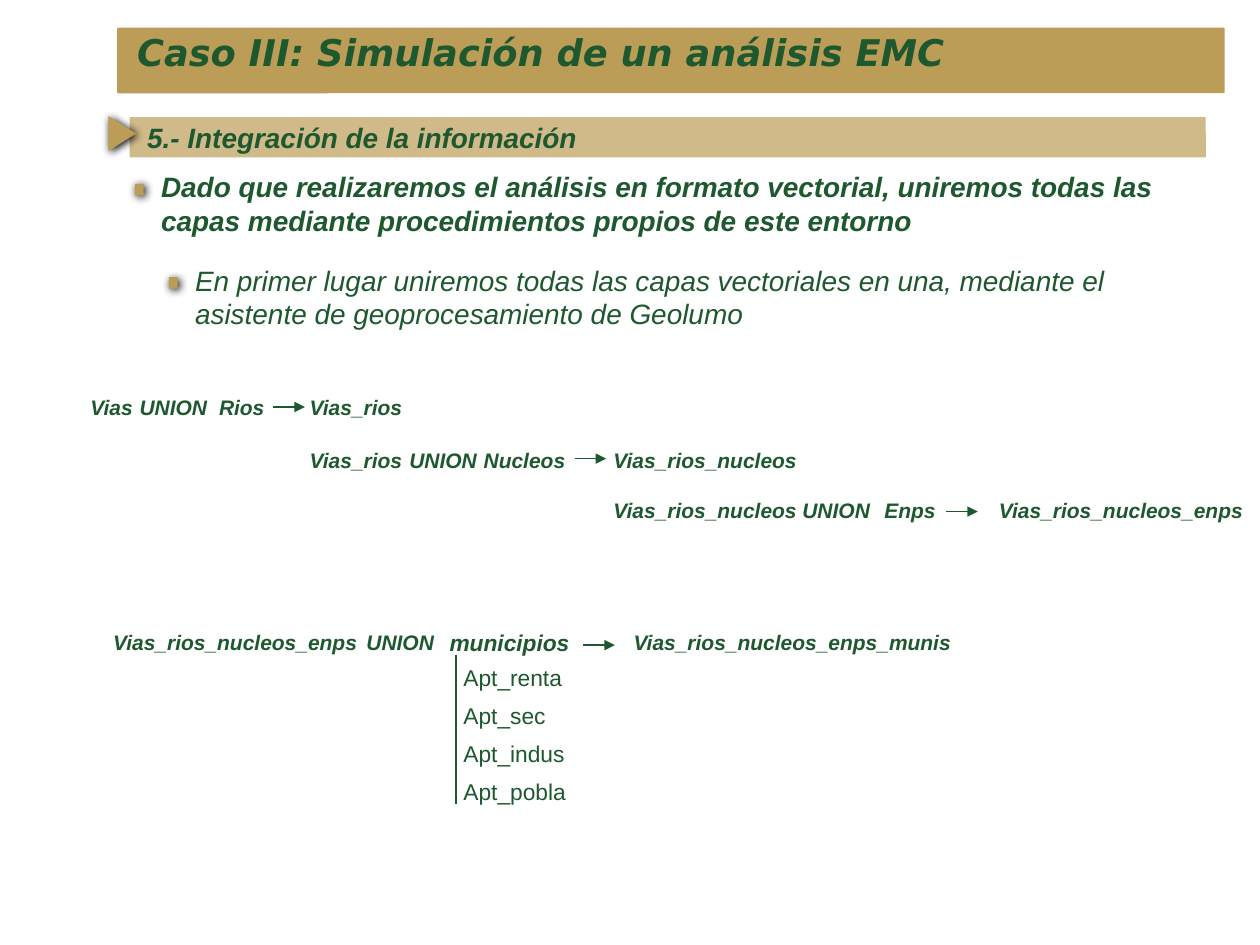
from lxml import etree
from pptx import Presentation
from pptx.dml.color import RGBColor
from pptx.enum import shapes, text
from pptx.oxml import ns
from pptx.util import Inches, Pt

GREEN = RGBColor(0x1E, 0x58, 0x2F)
GOLD = RGBColor(0xBB, 0x9D, 0x57)
SAND = RGBColor(0xD0, 0xBA, 0x8A)

SHADOW = (
    f'<a:effectLst {ns.nsdecls("a")}>'
    '<a:outerShdw blurRad="63500" dist="17780" dir="2700000" rotWithShape="0">'
    '<a:srgbClr val="000000"/></a:outerShdw></a:effectLst>'
)

presentation = Presentation()
presentation.slide_width = Inches(10)
presentation.slide_height = Inches(7.5)
slide = presentation.slides.add_slide(presentation.slide_layouts[6])


def add_text(content, left, top, width, height, size=12, font="Arial",
             bold=True, italic=True, wrap=False):
    box = slide.shapes.add_textbox(Inches(left), Inches(top), Inches(width), Inches(height))
    frame = box.text_frame
    frame.word_wrap = wrap
    frame.vertical_anchor = text.MSO_ANCHOR.TOP
    paragraph = frame.paragraphs[0]
    run = paragraph.add_run()
    run.text = content
    run.font.name = font
    run.font.size = Pt(size)
    run.font.bold = bold
    run.font.italic = italic
    run.font.color.rgb = GREEN


def add_line(start, end, width=0.75, arrow=True):
    line = slide.shapes.add_connector(
        shapes.MSO_CONNECTOR.STRAIGHT, *[Inches(value) for value in (*start, *end)])
    line.line.color.rgb = GREEN
    line.line.width = Pt(width)
    if arrow:
        etree.SubElement(line.line._get_or_add_ln(), ns.qn("a:tailEnd"), type="triangle")
    etree.SubElement(line._element.spPr, ns.qn("a:effectLst"))


# Bars and markers: kind, place, fill, corner radius, rotation, shadow
SHAPE = shapes.MSO_SHAPE
decorations = [
    (SHAPE.ROUNDED_RECTANGLE, (0.93, 0.22, 8.79, 0.52), GOLD, 0.02, 0, False),
    (SHAPE.ROUNDED_RECTANGLE, (1.03, 0.93, 8.54, 0.32), SAND, 0.02, 0, False),
    (SHAPE.ISOSCELES_TRIANGLE, (0.83, 0.95, 0.28, 0.22), GOLD, 0.5, 90, True),
    (SHAPE.RECTANGLE, (1.06, 1.47, 0.09, 0.07), GOLD, None, 90, True),
    (SHAPE.RECTANGLE, (1.33, 2.21, 0.09, 0.07), GOLD, None, 90, True),
]
for kind, place, color, adjustment, rotation, shadowed in decorations:
    shape = slide.shapes.add_shape(kind, *[Inches(value) for value in place])
    shape.fill.solid()
    shape.fill.fore_color.rgb = color
    shape.line.fill.background()
    shape.rotation = rotation
    if adjustment is not None:
        shape.adjustments[0] = adjustment
    if shadowed:
        shape._element.spPr.append(etree.fromstring(SHADOW))
    else:
        shape.shadow.inherit = False

# Headings and statements
add_text("Caso III: Simulación de un análisis EMC", 0.99, 0.19, 8.63, 0.45,
         size=21, font="DejaVu Sans", wrap=True)
add_text("5.- Integración de la información", 1.07, 0.91, 3.63, 0.37, size=16)
add_text("Dado que realizaremos el análisis en formato vectorial, uniremos todas las "
         "capas mediante procedimientos propios de este entorno",
         1.18, 1.3, 8.22, 0.64, size=16, wrap=True)
add_text("En primer lugar uniremos todas las capas vectoriales en una, mediante el "
         "asistente de geoprocesamiento de Geolumo",
         1.45, 2.04, 8.22, 0.64, size=16, bold=False, wrap=True)

# Union steps: top of the row, then each label with its left edge and width
union_steps = [
    (3.08, [("Vias", 0.62, 0.54), ("UNION", 1.01, 0.74), ("Rios", 1.64, 0.56),
            ("Vias_rios", 2.36, 0.94)]),
    (3.5, [("Vias_rios", 2.36, 0.94), ("UNION", 3.15, 0.74), ("Nucleos", 3.74, 0.85),
           ("Vias_rios_nucleos", 4.77, 1.66)]),
    (3.9, [("Vias_rios_nucleos", 4.77, 1.66), ("UNION", 6.27, 0.74), ("Enps", 6.92, 0.61),
           ("Vias_rios_nucleos_enps", 7.83, 2.14)]),
    (4.95, [("Vias_rios_nucleos_enps", 0.8, 2.14), ("UNION", 2.81, 0.74),
            ("Vias_rios_nucleos_enps_munis", 4.93, 2.73)]),
]
for top, labels in union_steps:
    for label, left, width in labels:
        add_text(label, left, top, width, 0.3)

for left, middle in [(2.17, 3.23), (4.56, 3.64), (7.51, 4.06), (4.63, 5.12)]:
    add_line((left, middle), (left + 0.25, middle))

# Municipality layer and its attributes
add_text("municipios", 3.47, 4.94, 1.16, 0.32, size=13)
attributes = [("Apt_renta", 0.99), ("Apt_sec", 0.85), ("Apt_indus", 1.01), ("Apt_pobla", 1.02)]
for row, (attribute, width) in enumerate(attributes):
    add_text(attribute, 3.58, 5.22 + 0.3 * row, width, 0.32, size=13, bold=False, italic=False)
add_line((3.62, 6.38), (3.62, 5.2), width=1.5, arrow=False)

presentation.save("out.pptx")
